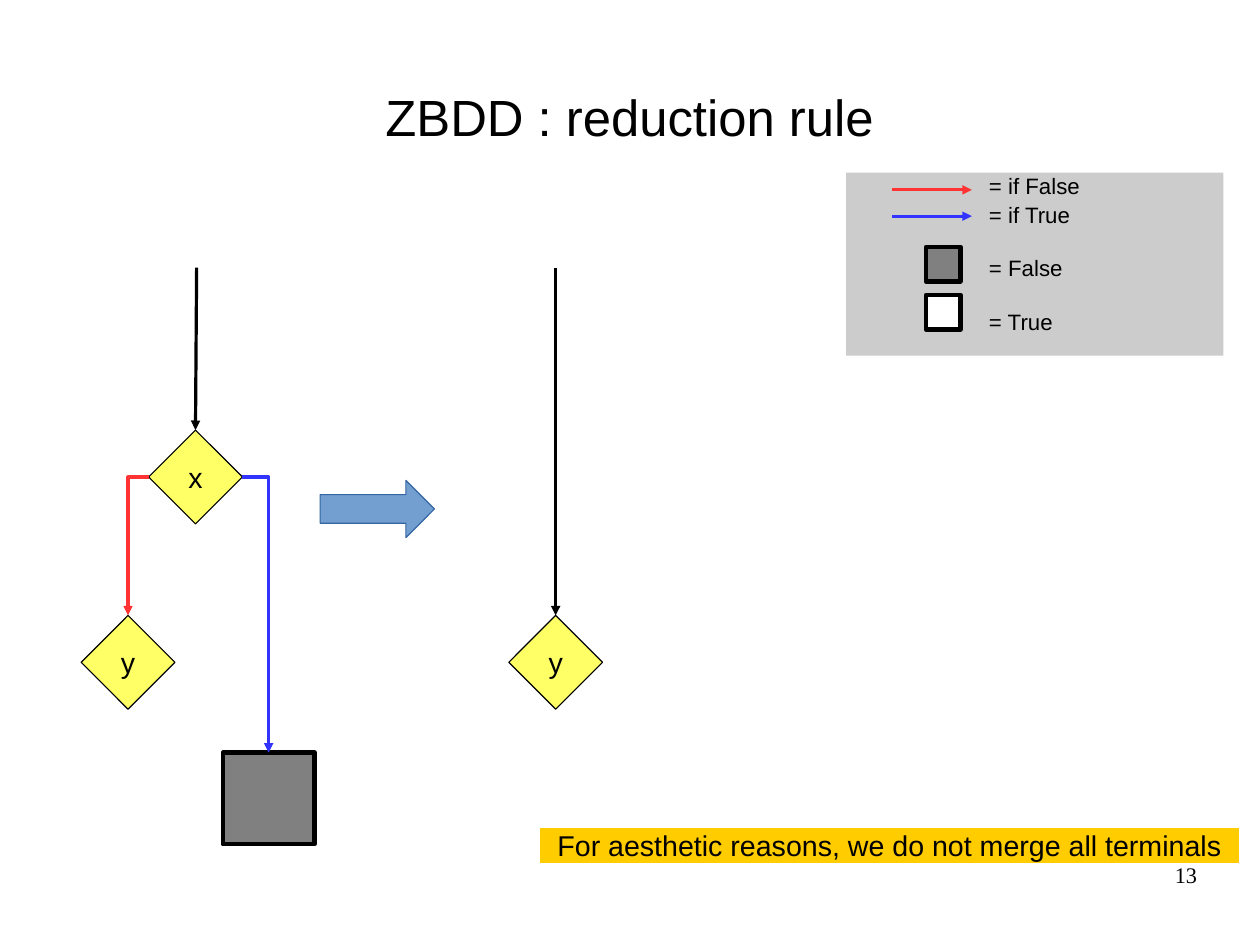
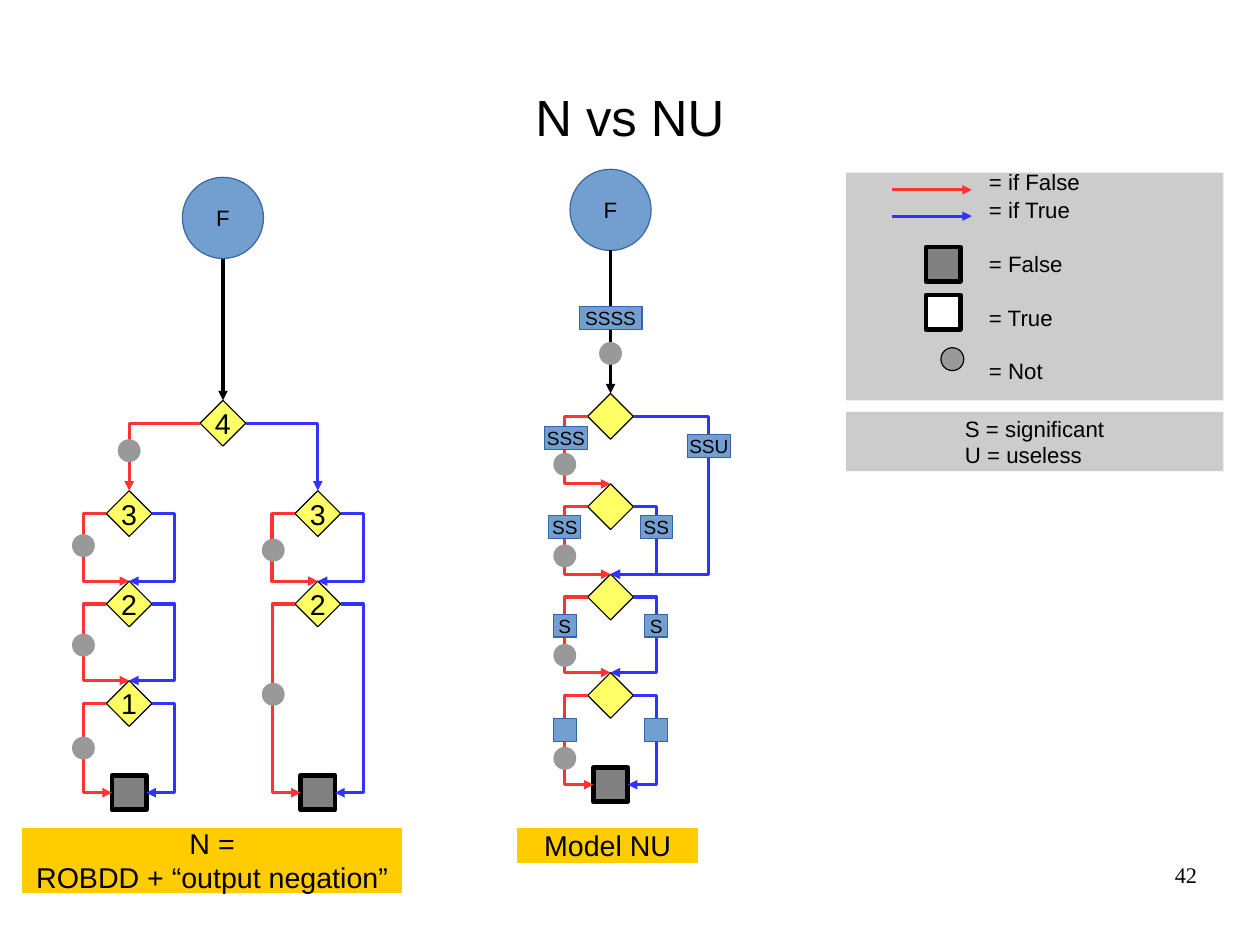
from lxml.etree import SubElement
from pptx import Presentation
from pptx.dml.color import RGBColor
from pptx.enum.shapes import MSO_CONNECTOR, MSO_SHAPE
from pptx.enum.text import MSO_ANCHOR, MSO_AUTO_SIZE, PP_ALIGN
from pptx.oxml.ns import qn
from pptx.util import Inches, Pt

# Shared colours and sizes
BLACK, WHITE = "000000", "FFFFFF"
RED, BLUE = "FF3333", "3333FF"
YELLOW, ORANGE = "FFFF66", "FFCC00"
PANEL, DARK_GRAY, DOT_GRAY = "CCCCCC", "808080", "999999"
STEEL, STEEL_LINE = "729FCF", "3465A4"
TOP, LEFT, BOTTOM, RIGHT = range(4)
NODE, TERMINAL, DOT = 0.4, 0.3, 0.2
LOOP_REACH = 0.4


def color(value):
    return RGBColor.from_string(value)


# Text and shapes
def write(shape, text, size=14, font="Arial", align=PP_ALIGN.CENTER,
          anchor=MSO_ANCHOR.MIDDLE, wrap=False, insets=(0.1, 0.05, 0.1, 0.05),
          gaps=()):
    frame = shape.text_frame
    frame.text = text
    frame.auto_size = MSO_AUTO_SIZE.NONE
    frame.word_wrap = wrap
    frame.vertical_anchor = anchor
    (frame.margin_left, frame.margin_top,
     frame.margin_right, frame.margin_bottom) = map(Inches, insets)
    for paragraph in frame.paragraphs:
        paragraph.alignment = align
        paragraph.font.size = Pt(size)
        paragraph.font.name = font
        paragraph.font.color.rgb = color(BLACK)
    for paragraph, gap in zip(frame.paragraphs, gaps):
        paragraph.space_before = Pt(gap)


def block(slide, kind, left, top, width, height, fill, line=None,
          line_width=0, text="", **text_format):
    shape = slide.shapes.add_shape(
        kind, Inches(left), Inches(top), Inches(width), Inches(height))
    shape.shadow.inherit = False
    shape.fill.solid()
    shape.fill.fore_color.rgb = color(fill)
    if line:
        shape.line.color.rgb = color(line)
        shape.line.width = Pt(line_width)
    else:
        shape.line.fill.background()
    if text:
        write(shape, text, **text_format)
    return shape


def label(slide, left, top, width, height, text, **text_format):
    box = slide.shapes.add_textbox(
        Inches(left), Inches(top), Inches(width), Inches(height))
    write(box, text, **text_format)


def node(slide, center, top, text="", size=NODE):
    return block(slide, MSO_SHAPE.DIAMOND, center - size / 2, top, size, size,
                 YELLOW, BLACK, text=text, size=18)


def terminal(slide, center, top, size=TERMINAL, fill=DARK_GRAY):
    return block(slide, MSO_SHAPE.RECTANGLE, center - size / 2, top, size, size,
                 fill, BLACK, 3)


def dot(slide, center, middle, line=None):
    block(slide, MSO_SHAPE.OVAL, center - DOT / 2, middle - DOT / 2, DOT, DOT,
          DOT_GRAY, line)


def tag(slide, center, middle, width, text=""):
    block(slide, MSO_SHAPE.RECTANGLE, center - width / 2, middle - 0.1, width,
          0.2, STEEL, STEEL_LINE, text=text, size=12)


def root(slide, center, top):
    block(slide, MSO_SHAPE.OVAL, center - 0.355, top, 0.71, 0.71,
          STEEL, STEEL_LINE, text="F")


def caption(slide, left, width, text, height=0.3):
    block(slide, MSO_SHAPE.RECTANGLE, left, 7.24, width, height,
          ORANGE, ORANGE, text=text, size=18)


# Arrows: each end is a point (x, y) or a joint (shape, side)
def arrow(slide, line, start, end, bend=None, corner=False):
    bent = corner or bend is not None
    kind = MSO_CONNECTOR.ELBOW if bent else MSO_CONNECTOR.STRAIGHT
    connector = slide.shapes.add_connector(kind, 0, 0, 0, 0)
    if isinstance(start[0], (int, float)):
        connector.begin_x, connector.begin_y = map(Inches, start)
    else:
        connector.begin_connect(*start)
    if isinstance(end[0], (int, float)):
        connector.end_x, connector.end_y = map(Inches, end)
    else:
        connector.end_connect(*end)
    connector.line.color.rgb = color(line)
    connector.line.width = Pt(0)
    properties = connector._element.spPr
    geometry = properties.find(qn("a:prstGeom"))
    if corner:
        geometry.set("prst", "bentConnector2")
    elif bent:
        span = connector.end_x - connector.begin_x
        ratio = (Inches(bend) - connector.begin_x) / span
        SubElement(geometry.find(qn("a:avLst")), qn("a:gd"),
                   name="adj1", fmla=f"val {round(ratio * 100000)}")
    SubElement(properties.find(qn("a:ln")), qn("a:tailEnd"), type="triangle")
    SubElement(properties, qn("a:effectLst"))


def chain(slide, center, tops, terminal_top, texts=None, jumps=None):
    """Stack nodes over a terminal; jumps maps a node to (target, reach)."""
    texts = texts or [""] * len(tops)
    nodes = [node(slide, center, top, text) for top, text in zip(tops, texts)]
    last = terminal(slide, center, terminal_top)

    def enter(index, side):
        if index < len(tops):
            return center, tops[index]
        return last, side

    for index, shape in enumerate(nodes):
        arrow(slide, RED, (shape, LEFT), enter(index + 1, LEFT),
              bend=center - LOOP_REACH)
        target, reach = (jumps or {}).get(index, (index + 1, LOOP_REACH))
        arrow(slide, BLUE, (shape, RIGHT), enter(target, RIGHT),
              bend=center + reach)
    return nodes


# Parts that both slides share
def new_slide(presentation, title, number):
    slide = presentation.slides.add_slide(presentation.slide_layouts[5])
    heading = slide.shapes.title
    heading.left, heading.top = Inches(0.55), Inches(0.33)
    heading.width, heading.height = Inches(9.92), Inches(1.38)
    write(heading, title, size=32, wrap=True, insets=(0, 0, 0, 0))
    label(slide, 7.9, 7.53, 2.57, 0.57, number, font="Times New Roman",
          align=PP_ALIGN.RIGHT, anchor=MSO_ANCHOR.TOP, wrap=True,
          insets=(0, 0, 0, 0))
    return slide


def legend(slide, height, text_top, entries):
    block(slide, MSO_SHAPE.RECTANGLE, 7.4, 1.51, 3.3, height, PANEL)
    label(slide, 8.65, text_top, 2, height, "\n".join(entries),
          align=PP_ALIGN.LEFT, anchor=MSO_ANCHOR.TOP, wrap=True,
          insets=(0, 0, 0, 0), gaps=(0, 1, 17, 17, 17))
    for line, middle in ((RED, 1.66), (BLUE, 1.89)):
        arrow(slide, line, (7.8, middle), (8.5, middle))
    for fill, top in ((DARK_GRAY, 2.16), (WHITE, 2.58)):
        terminal(slide, 8.25, top, fill=fill)


# Slide contents
def reduction_slide(presentation):
    slide = new_slide(presentation, "ZBDD : reduction rule", "13")
    legend(slide, 1.6, 1.51,
           ["= if False", "= if True", "= False", "= True"])
    x_node = node(slide, 1.71, 3.76, "x", 0.82)
    y_node = node(slide, 1.12, 5.38, "y", 0.82)
    reduced_node = node(slide, 4.86, 5.38, "y", 0.82)
    false_box = terminal(slide, 2.35, 6.58, 0.8)
    arrow(slide, RED, (x_node, LEFT), (y_node, TOP), corner=True)
    arrow(slide, BLUE, (x_node, RIGHT), (false_box, TOP), corner=True)
    arrow(slide, BLACK, (1.72, 2.34), (x_node, TOP))
    arrow(slide, BLACK, (4.86, 2.34), (reduced_node, TOP))
    block(slide, MSO_SHAPE.RIGHT_ARROW, 2.8, 4.2, 1, 0.5, STEEL, STEEL_LINE)
    caption(slide, 4.73, 6.1,
            "For aesthetic reasons, we do not merge all terminals")


def comparison_slide(presentation):
    slide = new_slide(presentation, "N vs NU", "42")
    legend(slide, 1.99, 1.47,
           ["= if False", "= if True", "= False", "= True", "= Not"])
    dot(slide, 8.33, 3.14, BLACK)
    block(slide, MSO_SHAPE.RECTANGLE, 7.4, 3.6, 3.3, 0.52, PANEL,
          text="S = significant\nU = useless", align=PP_ALIGN.LEFT, wrap=True,
          insets=(1.04, 0, 0.1, 0))

    # Model N
    root(slide, 1.95, 1.55)
    top_node = node(slide, 1.95, 3.5, "4")
    arrow(slide, BLACK, (1.95, 2.26), (top_node, TOP))
    low = chain(slide, 1.13, [4.29, 5.08, 5.95], 6.78, "321")
    high = chain(slide, 2.78, [4.29, 5.08], 6.78, "32")
    arrow(slide, RED, (top_node, LEFT), (low[0], TOP), corner=True)
    arrow(slide, BLUE, (top_node, RIGHT), (high[0], TOP), corner=True)
    for center, middles in ((1.13, [3.94]), (0.73, [4.77, 5.64, 6.54]),
                            (2.39, [4.81, 6.07])):
        for middle in middles:
            dot(slide, center, middle)
    caption(slide, 0.2, 3.31, "N =\nROBDD + “output negation”", 0.56)

    # Model NU
    root(slide, 5.34, 1.48)
    nodes = chain(slide, 5.34, [3.44, 4.23, 5.02, 5.88], 6.71,
                  jumps={0: (2, 0.86)})
    arrow(slide, BLACK, (5.34, 2.19), (nodes[0], TOP))
    dot(slide, 5.34, 3.09)
    for middle in (4.06, 4.86, 5.73, 6.63):
        dot(slide, 4.94, middle)
    tag(slide, 5.34, 2.78, 0.55, "SSSS")
    tag(slide, 4.95, 3.83, 0.38, "SSS")
    tag(slide, 6.2, 3.9, 0.38, "SSU")
    for middle, width, text in ((4.61, 0.28, "SS"), (5.47, 0.2, "S"),
                                (6.38, 0.2, "")):
        for center in (5.34 - LOOP_REACH, 5.34 + LOOP_REACH):
            tag(slide, center, middle, width, text)
    caption(slide, 4.53, 1.57, "Model NU")


def main():
    presentation = Presentation()
    presentation.slide_width = Inches(11.02)
    presentation.slide_height = Inches(8.27)
    reduction_slide(presentation)
    comparison_slide(presentation)
    presentation.save("out.pptx")


if __name__ == "__main__":
    main()
